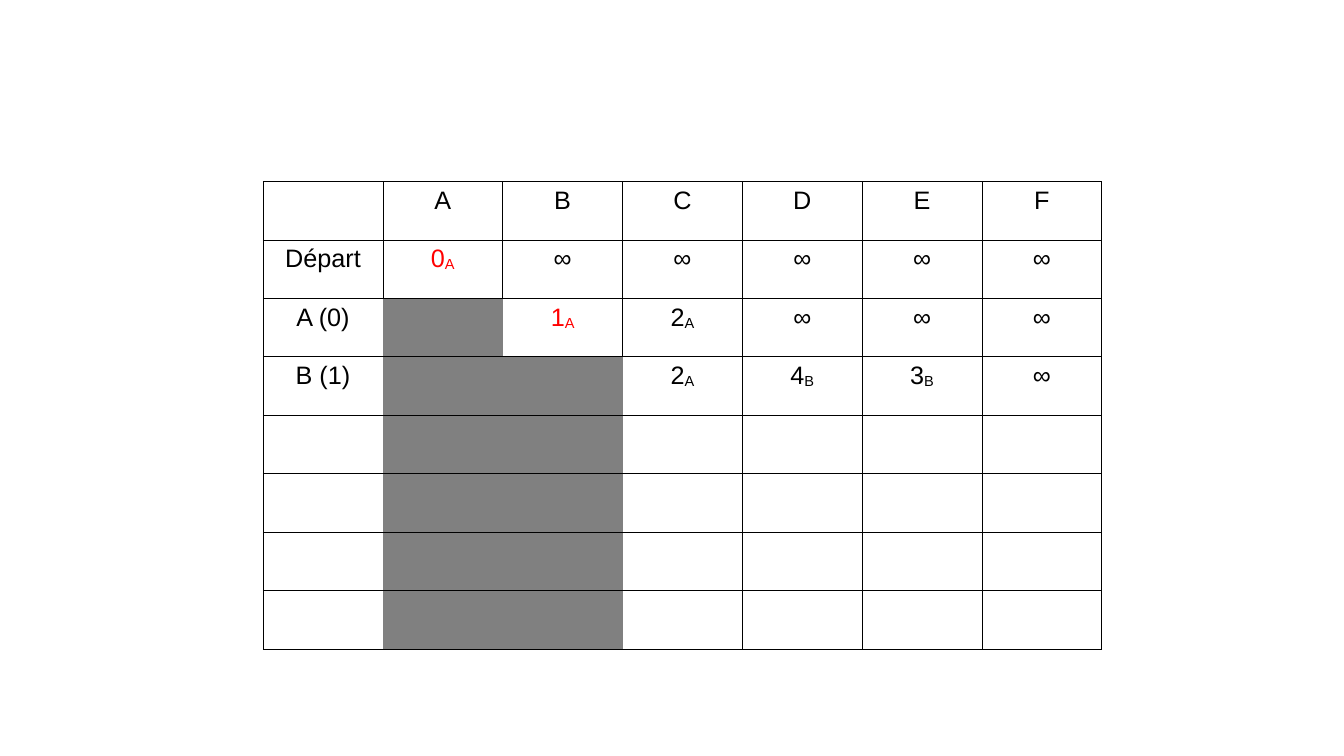
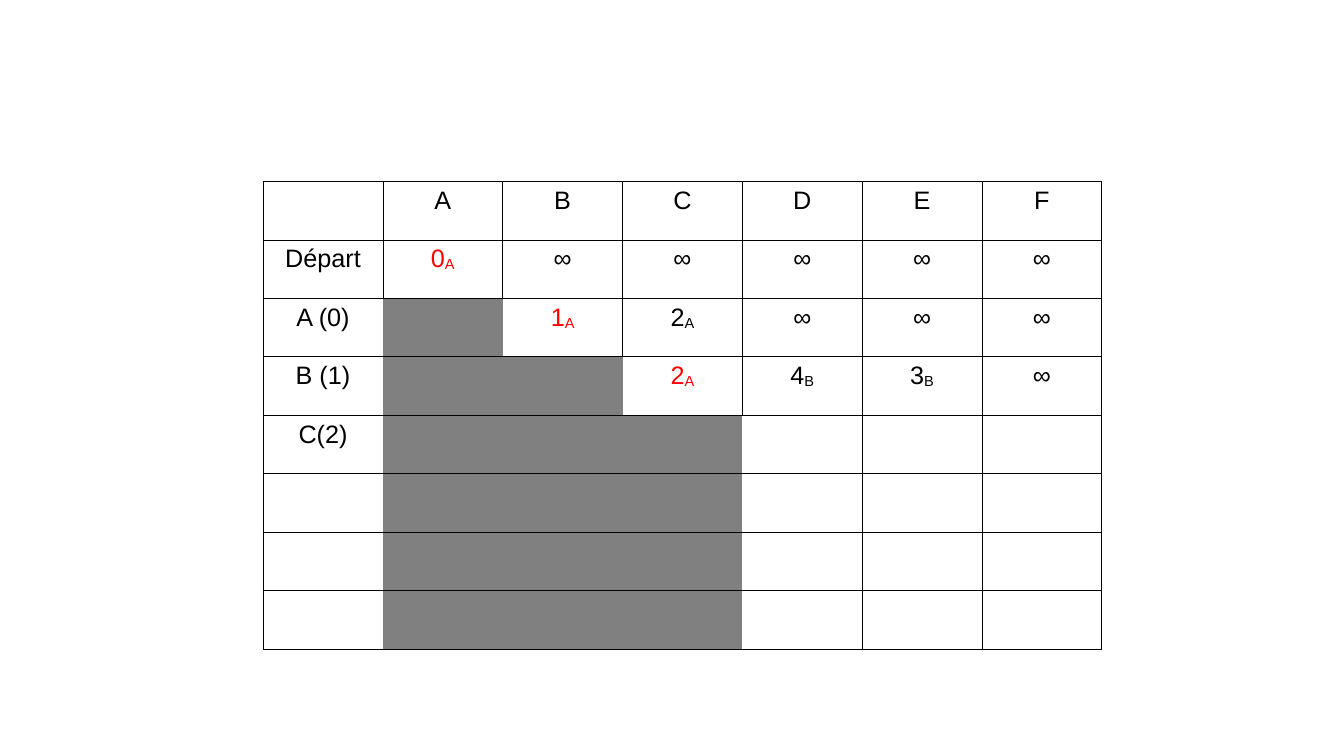
import dataclasses

import pptx
import pptx.dml.color
import pptx.enum.text
import pptx.oxml
import pptx.oxml.ns
import pptx.util

Inches = pptx.util.Inches
Pt = pptx.util.Pt
RGB = pptx.dml.color.RGBColor


@dataclasses.dataclass(frozen=True)
class Theme:
    font: str = "Arial"
    size: int = 18
    text: str = "000000"
    chosen: str = "FF0000"
    settled: str = "808080"
    border: str = "000000"
    border_width: float = 0.57
    subscript: str = "-8000"


THEME = Theme()

NODES = ["", "A", "B", "C", "D", "E", "F"]
# Each distance is followed by the node it was reached from.
DISTANCES = [
    ["0A", "∞", "∞", "∞", "∞", "∞"],
    ["", "1A", "2A", "∞", "∞", "∞"],
    ["", "", "2A", "4B", "3B", "∞"],
]
STEPS = [
    {"labels": ["Départ", "A (0)", "B (1)"], "settled": 2},
    {"labels": ["Départ", "A (0)", "B (1)", "C(2)"], "settled": 3},
]

ROWS, COLUMNS = 8, len(NODES)
LEFT, TOP = Inches(2.61), Inches(1.8)
WIDTH, HEIGHT = Inches(8.32), Inches(4.64)
MARGIN_X, MARGIN_Y = Inches(0.04), Inches(0.05)


def is_settled(row, column, settled):
    """A column is closed below the row where its node was chosen."""
    return 1 <= column <= min(row - 1, settled)


def set_borders(cell, visible):
    properties = cell._tc.get_or_add_tcPr()
    for side, shown in visible.items():
        paint = (
            f'<a:solidFill><a:srgbClr val="{THEME.border}"/></a:solidFill>'
            if shown else "<a:noFill/>"
        )
        properties.append(pptx.oxml.parse_xml(
            f'<a:ln{side} {pptx.oxml.ns.nsdecls("a")} '
            f'w="{Pt(THEME.border_width)}">{paint}</a:ln{side}>'
        ))


def write_cell(cell, parts, color):
    """Write a value, with any second part as a subscript."""
    cell.margin_left = cell.margin_right = MARGIN_X
    cell.margin_top = cell.margin_bottom = MARGIN_Y
    para = cell.text_frame.paragraphs[0]
    para.alignment = pptx.enum.text.PP_ALIGN.CENTER
    para.font.name = THEME.font
    para.font.size = Pt(THEME.size)
    para.font.color.rgb = RGB.from_string(color)
    for index, part in enumerate(parts):
        span = para.add_run()
        span.text = part
        if index:
            span.font._element.set("baseline", THEME.subscript)


def cell_parts(row, column, labels):
    if row == 0:
        text = NODES[column]
    elif column == 0:
        text = labels[row - 1] if row <= len(labels) else ""
    else:
        text = DISTANCES[row - 1][column - 1] if row <= len(DISTANCES) else ""
        return [*text]
    return [text] if text else []


def add_distance_table(page, labels, settled):
    table = page.shapes.add_table(ROWS, COLUMNS, LEFT, TOP, WIDTH, HEIGHT).table
    table.first_row = table.horz_banding = False
    for row in range(ROWS):
        for column in range(COLUMNS):
            cell = table.cell(row, column)
            left, closed, right = (
                is_settled(row, near, settled)
                for near in (column - 1, column, column + 1)
            )
            set_borders(cell, {
                "L": not (closed or left),
                "R": not (closed or right),
                "T": True,
                "B": True,
            })
            if closed:
                cell.fill.solid()
                cell.fill.fore_color.rgb = RGB.from_string(THEME.settled)
            else:
                cell.fill.background()
            chosen = row == column and 1 <= column <= settled
            write_cell(cell, cell_parts(row, column, labels),
                       THEME.chosen if chosen else THEME.text)


def main():
    deck = pptx.Presentation()
    deck.slide_width, deck.slide_height = Inches(13.33), Inches(7.5)
    for step in STEPS:
        page = deck.slides.add_slide(deck.slide_layouts[6])
        add_distance_table(page, **step)
    deck.save("out.pptx")


if __name__ == "__main__":
    main()
